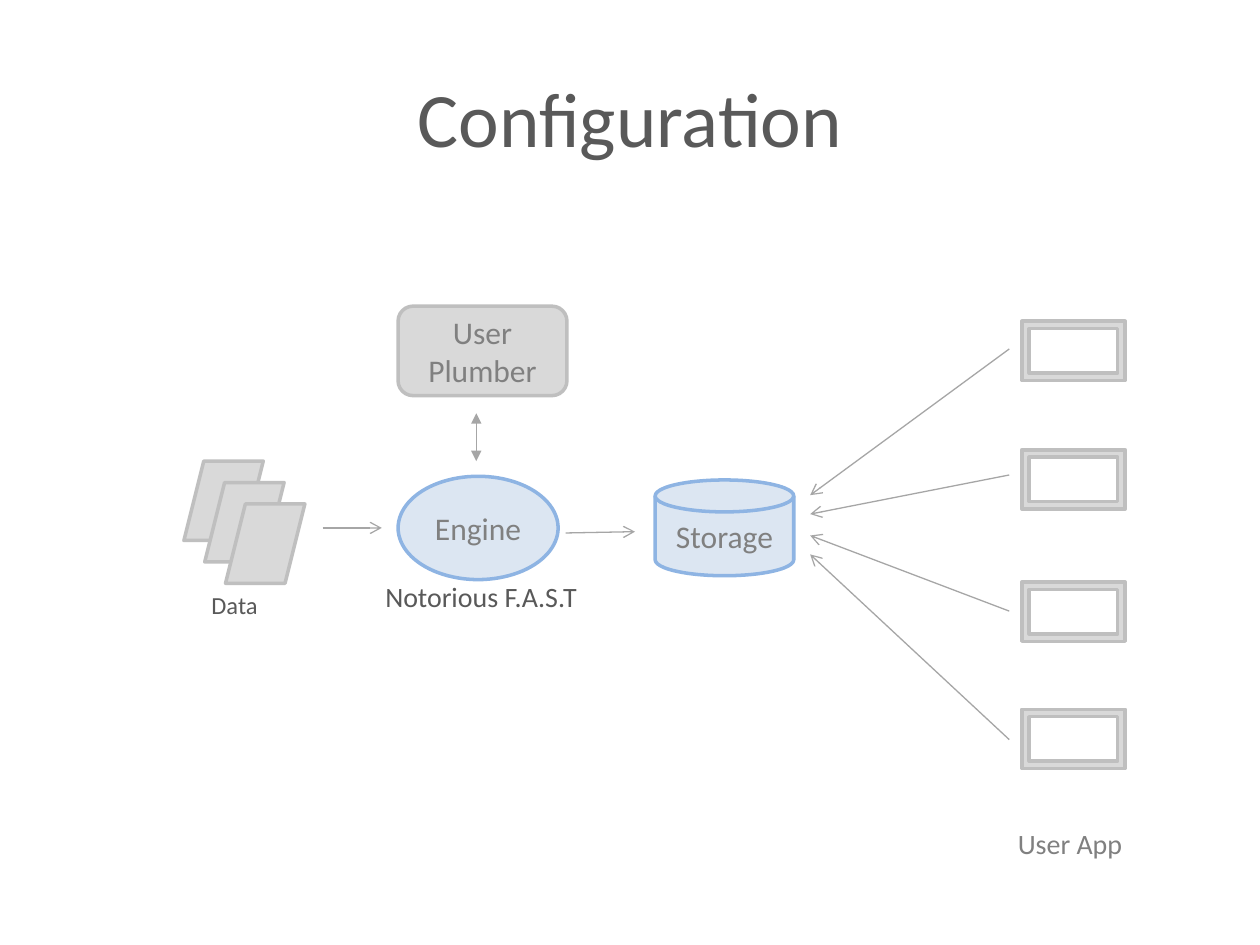
from dataclasses import dataclass

from lxml import etree
from pptx import Presentation
from pptx.dml.color import RGBColor
from pptx.enum.shapes import MSO_CONNECTOR, MSO_SHAPE
from pptx.enum.text import MSO_ANCHOR, PP_ALIGN
from pptx.oxml.ns import qn
from pptx.util import Inches, Pt


@dataclass(frozen=True)
class Theme:
    font: str = "Calibri"
    dark: str = "595959"
    muted: str = "808080"
    arrow: str = "A6A6A6"
    grey: tuple = ("D9D9D9", "BFBFBF")
    blue: tuple = ("DCE6F2", "8EB4E3")
    title_size: int = 44
    node_size: int = 18
    label_size: int = 16
    small_size: int = 14
    outline: float = 2
    arrow_width: float = 0.75


THEME = Theme()


def rgb(value):
    return RGBColor.from_string(value)


def write(frame, lines, size, color, align):
    for index, line in enumerate(lines):
        paragraph = frame.add_paragraph() if index else frame.paragraphs[0]
        paragraph.alignment = align
        run = paragraph.add_run()
        run.text = line
        run.font.name = THEME.font
        run.font.size = Pt(size)
        run.font.color.rgb = rgb(color)


def add_node(shapes, kind, box, colors, lines=()):
    node = shapes.add_shape(kind, *map(Inches, box))
    fill, line = colors
    node.shadow.inherit = False
    node.fill.solid()
    node.fill.fore_color.rgb = rgb(fill)
    node.line.color.rgb = rgb(line)
    node.line.width = Pt(THEME.outline)
    node.text_frame.vertical_anchor = MSO_ANCHOR.MIDDLE
    write(node.text_frame, lines, THEME.node_size, THEME.muted, PP_ALIGN.CENTER)


def add_label(shapes, box, text, size, color):
    label = shapes.add_textbox(*map(Inches, box))
    label.text_frame.word_wrap = False
    write(label.text_frame, [text], size, color, PP_ALIGN.LEFT)


def add_arrow(shapes, start, end, tail="arrow", head=None):
    arrow = shapes.add_connector(MSO_CONNECTOR.STRAIGHT, *map(Inches, (*start, *end)))
    arrow.line.color.rgb = rgb(THEME.arrow)
    arrow.line.width = Pt(THEME.arrow_width)
    line = arrow.line._get_or_add_ln()
    for tag, kind in (("a:headEnd", head), ("a:tailEnd", tail)):
        if kind:
            etree.SubElement(line, qn(tag), type=kind)
    etree.SubElement(arrow._element.spPr, qn("a:effectLst"))


def add_title(slide, box, text):
    title = slide.shapes.title
    title.left, title.top, title.width, title.height = map(Inches, box)
    title.text_frame.vertical_anchor = MSO_ANCHOR.MIDDLE
    write(title.text_frame, [text], THEME.title_size, THEME.dark, PP_ALIGN.CENTER)


def add_data(slide, box):
    left, top, width, height = box
    group = slide.shapes.add_group_shape()
    sheet, label_height = 0.63, 0.34
    step_x = (width - sheet) / 2
    step_y = (height - label_height - sheet) / 2
    for index in range(3):
        add_node(group.shapes, MSO_SHAPE.PARALLELOGRAM,
                 (left + index * step_x, top + index * step_y, sheet, sheet), THEME.grey)
    add_label(group.shapes, (left + 0.12, top + height - label_height, 0.57, label_height),
              "Data", THEME.small_size, THEME.dark)


def add_engine(slide, box):
    left, top, width, height = box
    shapes = slide.shapes
    add_node(shapes, MSO_SHAPE.ROUNDED_RECTANGLE, (left, top, width, 0.71),
             THEME.grey, ["User", "Plumber"])
    add_node(shapes, MSO_SHAPE.OVAL, (left, top + 1.35, 1.27, 0.82), THEME.blue, ["Engine"])
    add_arrow(shapes, (left + 0.62, top + 0.85), (left + 0.62, top + 1.23),
              tail="triangle", head="triangle")
    add_label(shapes, (left - 0.2, top + height - 0.37, 1.74, 0.37),
              "Notorious F.A.S.T", THEME.label_size, THEME.dark)


def add_storage(slide, box):
    add_node(slide.shapes, MSO_SHAPE.FLOWCHART_MAGNETIC_DISK, box, THEME.blue, ["Storage"])


def add_user_apps(slide, box, storage):
    left, top, width, height = box
    storage_x = storage[0] + storage[2] + 0.13
    rows = (
        (0, 0.22, 0.12),
        (1.02, 1.22, 0.27),
        (2.07, 2.3, 0.44),
        (3.08, 3.32, 0.59),
    )
    for frame_y, start_y, end_y in rows:
        add_node(slide.shapes, MSO_SHAPE.FRAME, (left, top + frame_y, width, 0.47), THEME.grey)
        add_arrow(slide.shapes, (left - 0.1, top + start_y), (storage_x, storage[1] + end_y))
    add_label(slide.shapes, (left - 0.13, top + height - 0.37, 1.04, 0.37),
              "User App", THEME.label_size, THEME.muted)


def add_configuration(prs):
    slide = prs.slides.add_slide(prs.slide_layouts[5])
    storage = (5.2, 3.81, 1.1, 0.76)
    add_title(slide, (0.5, 0.3, 9, 1.25), "Configuration")
    add_data(slide, (1.46, 3.66, 0.96, 1.31))
    add_engine(slide, (3.16, 2.43, 1.34, 2.49))
    add_storage(slide, storage)
    add_user_apps(slide, (8.11, 2.55, 0.82, 4.33), storage)
    add_arrow(slide.shapes, (2.56, 4.19), (3.03, 4.19))
    add_arrow(slide.shapes, (4.49, 4.23), (5.04, 4.22))


prs = Presentation()
prs.slide_width, prs.slide_height = Inches(10), Inches(7.5)
add_configuration(prs)
prs.save("out.pptx")
